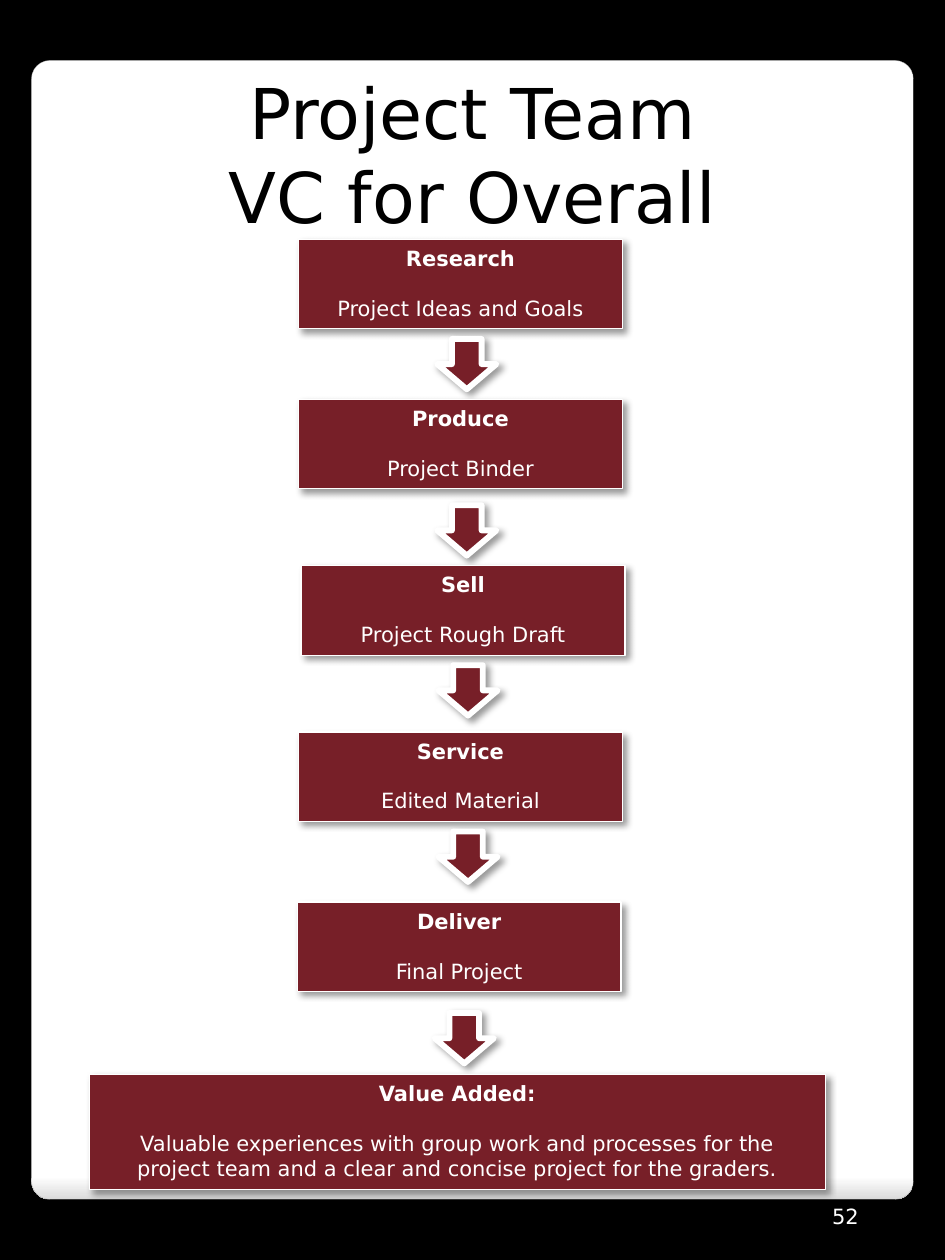
from lxml import etree
from pptx import Presentation
from pptx import util as u
from pptx.dml.color import RGBColor
from pptx.enum import shapes, text
from pptx.oxml import ns

BLACK = RGBColor(0x00, 0x00, 0x00)
WHITE = RGBColor(0xFF, 0xFF, 0xFF)
MAROON = RGBColor(0x77, 0x1F, 0x28)
PANEL_EDGE = RGBColor(0xA4, 0xA4, 0xA4)
PANEL_SHADE = RGBColor(0xDA, 0xDA, 0xDA)

# Heading, detail, box left and top, left and top of the arrow below
STEPS = [
    ("Research", "Project Ideas and Goals", 2.37, 1.9, 3.47, 2.69),
    ("Produce", "Project Binder", 2.37, 3.17, 3.47, 4.01),
    ("Sell", "Project Rough Draft", 2.39, 4.49, 3.48, 5.28),
    ("Service", "Edited Material", 2.37, 5.81, 3.48, 6.6),
    ("Deliver", "Final Project", 2.36, 7.16, 3.45, 8.04),
]
STEP_SIZE = (2.57, 0.71)
ARROW_SIZE = (0.47, 0.4)


class ChainSlide:
    font = "DejaVu Sans"
    body_size = 12

    def __init__(self, slide):
        self.slide = slide
        slide.background.fill.solid()
        slide.background.fill.fore_color.rgb = BLACK

    def set_text(self, shape, lines, size, color):
        frame = shape.text_frame
        frame.word_wrap = True
        frame.text = "\n".join(lines)
        for paragraph in frame.paragraphs:
            paragraph.alignment = text.PP_ALIGN.CENTER
            for run in paragraph.runs:
                run.font.name = self.font
                run.font.size = u.Pt(size)
                run.font.color.rgb = color
        return frame

    def shape(self, kind, left, top, width, height, line, line_width):
        shape = self.slide.shapes.add_shape(
            kind, u.Inches(left), u.Inches(top), u.Inches(width), u.Inches(height))
        shape.line.color.rgb = line
        shape.line.width = u.Pt(line_width)
        shape.shadow.inherit = False
        return shape

    def panel(self, left, top, width, height):
        panel = self.shape(shapes.MSO_SHAPE.ROUNDED_RECTANGLE,
                           left, top, width, height, PANEL_EDGE, 0.16)
        panel.adjustments[0] = 0.021
        panel.fill.gradient()
        panel.fill.gradient_angle = 270
        stops = zip(panel.fill.gradient_stops, (0.98, 1), (WHITE, PANEL_SHADE))
        for stop, position, color in stops:
            stop.position = position
            stop.color.rgb = color

    def raised(self, kind, left, top, width, height, line_width):
        shape = self.shape(kind, left, top, width, height, WHITE, line_width)
        shape.fill.solid()
        shape.fill.fore_color.rgb = MAROON
        effects = shape.element.spPr.find(ns.qn("a:effectLst"))
        shadow = etree.SubElement(
            effects, ns.qn("a:outerShdw"), blurRad=str(u.Pt(4)),
            dist=str(u.Pt(3)), dir="2700000", algn="tl", rotWithShape="0")
        color = etree.SubElement(shadow, ns.qn("a:srgbClr"), val=str(BLACK))
        etree.SubElement(color, ns.qn("a:alpha"), val="40000")
        return shape

    def box(self, heading, detail, left, top, width, height):
        box = self.raised(shapes.MSO_SHAPE.RECTANGLE, left, top, width, height, 0.75)
        frame = self.set_text(box, (heading, detail), self.body_size, WHITE)
        frame.vertical_anchor = text.MSO_ANCHOR.TOP
        first, second = frame.paragraphs
        first.runs[0].font.bold = True
        second.space_before = u.Pt(14)

    def arrow(self, left, top):
        self.raised(shapes.MSO_SHAPE.DOWN_ARROW, left, top, *ARROW_SIZE, 3.35)

    def label(self, lines, left, top, width, height, size, color):
        label = self.slide.shapes.add_textbox(
            u.Inches(left), u.Inches(top), u.Inches(width), u.Inches(height))
        self.set_text(label, lines, size, color)


def main():
    presentation = Presentation()
    presentation.slide_width = u.Inches(7.5)
    presentation.slide_height = u.Inches(10)
    chain = ChainSlide(presentation.slides.add_slide(presentation.slide_layouts[6]))

    # Panel and title
    chain.panel(0.25, 0.48, 7, 9.04)
    chain.label(("Project Team", "VC for Overall"), 0.25, 0.5, 7, 1.45, 40, BLACK)

    # Value chain
    for heading, detail, left, top, arrow_left, arrow_top in STEPS:
        chain.box(heading, detail, left, top, *STEP_SIZE)
        chain.arrow(arrow_left, arrow_top)
    chain.box("Value Added:",
              "Valuable experiences with group work and processes for the "
              "project team and a clear and concise project for the graders.",
              0.71, 8.53, 5.84, 0.91)

    # Slide number
    chain.label(("52",), 6.24, 9.5, 0.94, 0.3, chain.body_size, WHITE)

    presentation.save("out.pptx")


if __name__ == "__main__":
    main()
